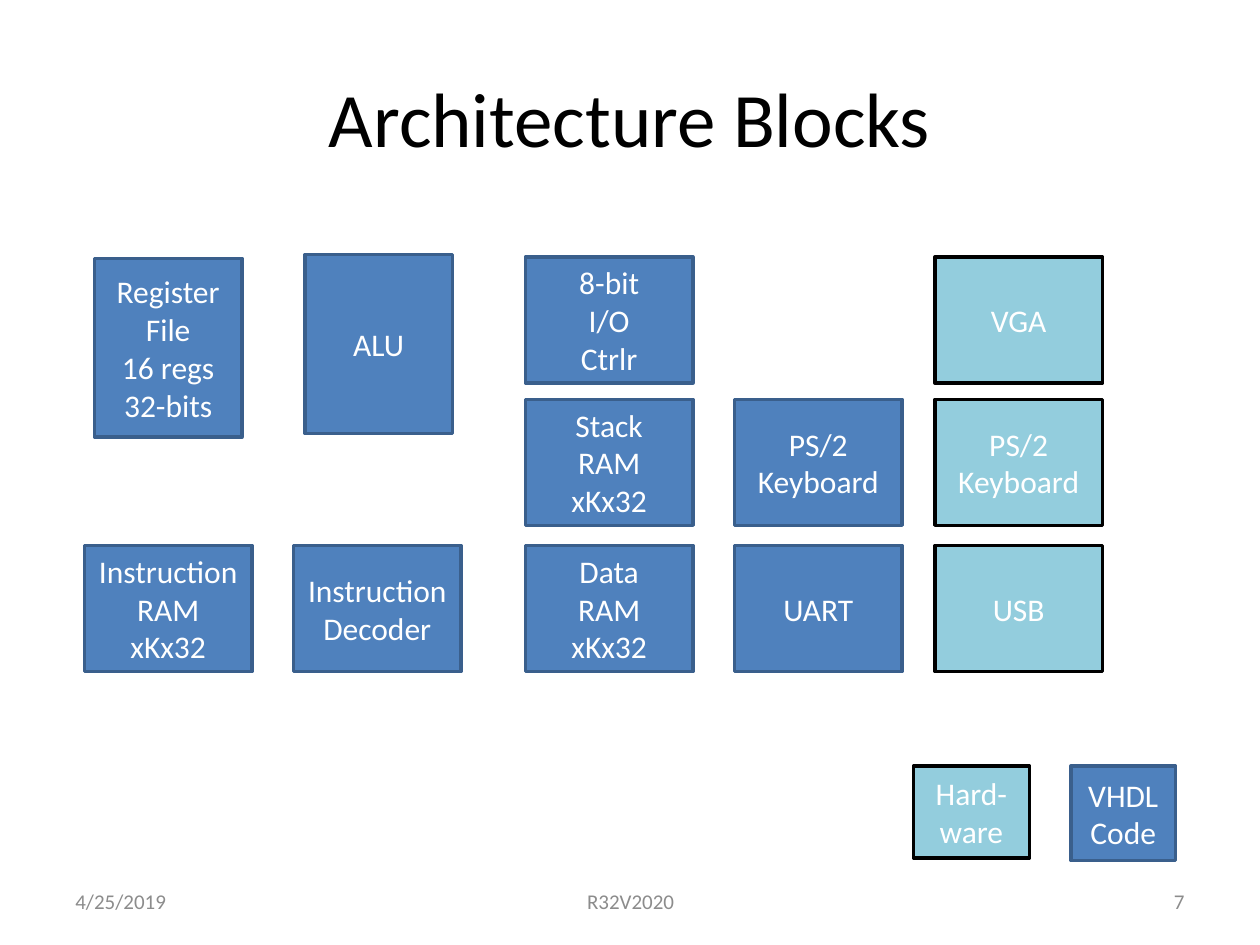
from dataclasses import dataclass

from pptx import Presentation
from pptx.dml.color import RGBColor
from pptx.enum import shapes, text
from pptx.util import Inches, Pt


@dataclass(frozen=True)
class Theme:
    font: str = "Calibri"
    title_size: int = 44
    block_size: int = 18
    footer_size: int = 12
    line_width: int = 2
    ink: str = "000000"
    muted: str = "8C8C8C"
    light: str = "FFFFFF"
    code: tuple = ("4F81BD", "3A5F8C")      # fill, outline
    hardware: tuple = ("93CDDD", "000000")


THEME = Theme()
ALIGN = text.PP_ALIGN

# Block grid: column lefts, row tops and the common block size
COLUMNS = (0.67, 2.33, 4.17, 5.83, 7.42)
ROWS = (2.04, 3.17, 4.33)
BLOCK = (1.33, 1)
TALL_BLOCK = (1.17, 1.42)

# (column, row, lines, colours)
GRID_BLOCKS = (
    (0, 2, ("Instruction", "RAM", "xKx32"), THEME.code),
    (1, 2, ("Instruction", "Decoder"), THEME.code),
    (2, 0, ("8-bit", "I/O", "Ctrlr"), THEME.code),
    (2, 1, ("Stack", "RAM", "xKx32"), THEME.code),
    (2, 2, ("Data", "RAM", "xKx32"), THEME.code),
    (3, 1, ("PS/2 Keyboard",), THEME.code),
    (3, 2, ("UART",), THEME.code),
    (4, 0, ("VGA",), THEME.hardware),
    (4, 1, ("PS/2 Keyboard",), THEME.hardware),
    (4, 2, ("USB",), THEME.hardware),
)

# (left, top, size, lines, colours)
FREE_BLOCKS = (
    (0.75, 2.05, TALL_BLOCK, ("Register File", "16 regs", "32-bits"), THEME.code),
    (2.42, 2.02, TALL_BLOCK, ("ALU",), THEME.code),
    # Legend
    (7.25, 6.08, (0.92, 0.73), ("Hard-", "ware"), THEME.hardware),
    (8.5, 6.08, (0.83, 0.75), ("VHDL", "Code"), THEME.code),
)

# (left, width, wording, alignment)
FOOTER = (
    (0.5, 2.33, "4/25/2019", ALIGN.LEFT),
    (3.42, 3.17, "R32V2020", ALIGN.CENTER),
    (7.17, 2.33, "7", ALIGN.RIGHT),
)


def write_lines(frame, lines, size, color, align=ALIGN.CENTER):
    frame.word_wrap = True
    frame.vertical_anchor = text.MSO_ANCHOR.MIDDLE
    for index, line in enumerate(lines):
        paragraph = frame.paragraphs[0] if index == 0 else frame.add_paragraph()
        paragraph.alignment = align
        run = paragraph.add_run()
        run.text = line
        run.font.name = THEME.font
        run.font.size = Pt(size)
        run.font.color.rgb = RGBColor.from_string(color)


def add_title(slide, wording):
    title = slide.shapes.title
    title.left, title.top = Inches(0.5), Inches(0.3)
    title.width, title.height = Inches(9), Inches(1.25)
    write_lines(title.text_frame, (wording,), THEME.title_size, THEME.ink)


def add_block(slide, left, top, size, lines, colors):
    block = slide.shapes.add_shape(
        shapes.MSO_SHAPE.RECTANGLE,
        Inches(left), Inches(top), Inches(size[0]), Inches(size[1]))
    fill, outline = colors
    block.shadow.inherit = False
    block.fill.solid()
    block.fill.fore_color.rgb = RGBColor.from_string(fill)
    block.line.color.rgb = RGBColor.from_string(outline)
    block.line.width = Pt(THEME.line_width)
    write_lines(block.text_frame, lines, THEME.block_size, THEME.light)


def add_footer(slide, left, width, wording, align):
    footer = slide.shapes.add_textbox(
        Inches(left), Inches(6.95), Inches(width), Inches(0.4))
    write_lines(footer.text_frame, (wording,), THEME.footer_size, THEME.muted, align)


def main():
    deck = Presentation()
    deck.slide_width, deck.slide_height = Inches(10), Inches(7.5)
    slide = deck.slides.add_slide(deck.slide_layouts.get_by_name("Title Only"))

    add_title(slide, "Architecture Blocks")
    for column, row, lines, colors in GRID_BLOCKS:
        add_block(slide, COLUMNS[column], ROWS[row], BLOCK, lines, colors)
    for block in FREE_BLOCKS:
        add_block(slide, *block)
    for part in FOOTER:
        add_footer(slide, *part)

    deck.save("out.pptx")


main()
